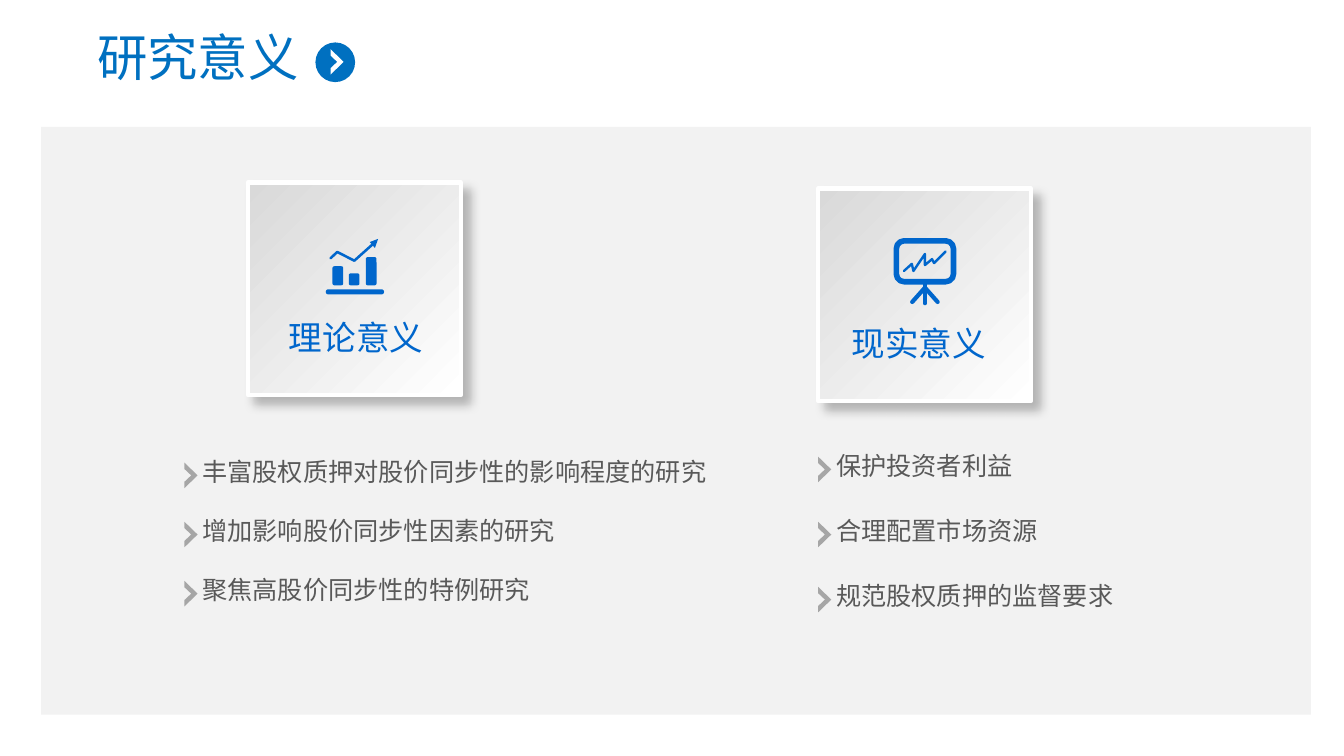
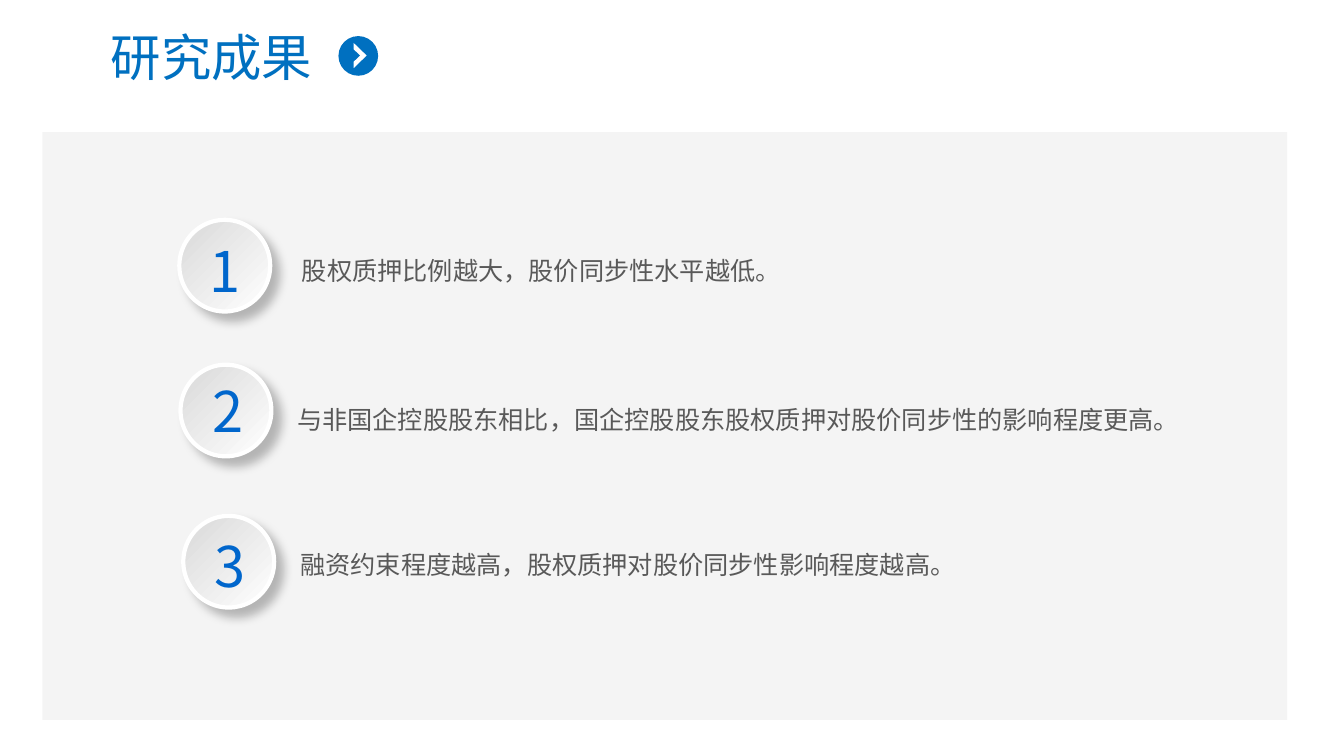
from dataclasses import dataclass
from typing import NamedTuple

from lxml import etree
from pptx import Presentation
from pptx.dml.color import RGBColor
from pptx.enum.shapes import MSO_CONNECTOR, MSO_SHAPE
from pptx.enum.text import PP_ALIGN
from pptx.oxml.ns import qn
from pptx.util import Cm, Pt

RECTANGLE = MSO_SHAPE.RECTANGLE
ROUNDED = MSO_SHAPE.ROUNDED_RECTANGLE
OVAL = MSO_SHAPE.OVAL
STRAIGHT = MSO_CONNECTOR.STRAIGHT
LEFT, CENTER = PP_ALIGN.LEFT, PP_ALIGN.CENTER
BOTTOM_SIDE = 2


@dataclass(frozen=True)
class Theme:
    title: str = "0070C0"
    accent: str = "0066CC"
    body: str = "595959"
    panel: str = "F2F2F2"
    bullet: str = "A6A6A6"
    plate_dark: str = "D9D9D9"
    white: str = "FFFFFF"
    font: str = "Noto Sans CJK SC"
    result_font: str = "Arial"
    title_size: int = 36
    number_size: int = 40
    label_size: int = 24
    body_size: int = 18


THEME = Theme()


class Box(NamedTuple):
    """Left, top, width and height in centimetres."""
    left: float
    top: float
    width: float
    height: float

    def shifted(self, x: float, y: float) -> "Box":
        return Box(self.left + x, self.top + y, self.width, self.height)


Points = list[tuple[float, float]]


@dataclass(frozen=True)
class Header:
    title: str
    title_box: Box
    badge_left: float
    badge_top: float
    panel: Box
    panel_opacity: int = 100


@dataclass(frozen=True)
class Meaning:
    tile: Box
    label: str
    label_left: float
    list_left: float
    list_top: float
    list_step: float
    text_width: float
    items: tuple[str, ...]


@dataclass(frozen=True)
class Result:
    circle: tuple[float, float]
    number: tuple[float, float]
    sentence: Box
    text: str


# Basic drawing

def add_text(slide, text: str, box: Box, *, size: int, color: str,
             font: str = THEME.font, align=LEFT) -> None:
    shape = slide.shapes.add_textbox(*map(Cm, box))
    shape.text_frame.word_wrap = True
    paragraph = shape.text_frame.paragraphs[0]
    paragraph.alignment = align
    run = paragraph.add_run()
    run.text = text
    run.font.size = Pt(size)
    run.font.name = font
    run.font.color.rgb = RGBColor.from_string(color)
    east_asian = etree.SubElement(run.font._element, qn("a:ea"))
    east_asian.set("typeface", THEME.font)


def set_line(line, color: str, width: float) -> None:
    line.width = Pt(width)
    line.color.rgb = RGBColor.from_string(color)
    properties = line._get_or_add_ln()
    properties.set("cap", "rnd")
    etree.SubElement(properties, qn("a:round"))


def paint(shape, fill: str | None, line: str | None, width: float) -> None:
    shape.shadow.inherit = False
    if fill:
        shape.fill.solid()
        shape.fill.fore_color.rgb = RGBColor.from_string(fill)
    else:
        shape.fill.background()
    if line:
        set_line(shape.line, line, width)
    else:
        shape.line.fill.background()


def add_preset(slide, kind, box: Box, *, fill: str | None = None,
               line: str | None = None, width: float = 0):
    shape = slide.shapes.add_shape(kind, *map(Cm, box))
    paint(shape, fill, line, width)
    return shape


def add_outline(slide, points: Points, origin: tuple[float, float], *,
                fill: str | None = None, line: str | None = None,
                width: float = 0) -> None:
    corners = [(Cm(origin[0] + x), Cm(origin[1] + y)) for x, y in points]
    builder = slide.shapes.build_freeform(*corners[0])
    builder.add_line_segments(corners[1:], close=fill is not None)
    paint(builder.convert_to_shape(), fill, line, width)


# Shared elements

CHEVRON: Points = [(0, 0), (0.33, 0.32), (0, 0.64), (0, 0.48), (0.17, 0.32), (0, 0.16)]


def add_plate(slide, kind, box: Box) -> None:
    """A raised plate with a grey gradient, white rim and soft shadow."""
    shape = add_preset(slide, kind, box, line=THEME.white, width=3)
    shape.fill.gradient()
    shape.fill.gradient_angle = 315
    for stop, color in zip(shape.fill.gradient_stops, (THEME.plate_dark, THEME.white)):
        stop.color.rgb = RGBColor.from_string(color)
    effects = shape._element.spPr.find(qn("a:effectLst"))
    shadow = etree.SubElement(effects, qn("a:outerShdw"), blurRad=str(Pt(7)),
                              dist=str(Pt(8)), dir="2700000", algn="tl",
                              rotWithShape="0")
    color = etree.SubElement(shadow, qn("a:srgbClr"), val="000000")
    etree.SubElement(color, qn("a:alpha"), val="25000")


def add_header(slide, header: Header) -> None:
    panel = add_preset(slide, RECTANGLE, header.panel, fill=THEME.panel)
    if header.panel_opacity < 100:
        color = panel._element.spPr.find(qn("a:solidFill"))[0]
        etree.SubElement(color, qn("a:alpha"), val=str(header.panel_opacity * 1000))
    add_text(slide, header.title, header.title_box, size=THEME.title_size,
             color=THEME.title, align=CENTER)
    left, top = header.badge_left, header.badge_top
    add_preset(slide, OVAL, Box(left, top, 1, 1), fill=THEME.title)
    add_outline(slide, CHEVRON, (left + 0.38, top + 0.17), fill=THEME.white)


# Icons, placed from the corner of their tile

def add_chart_icon(slide, tile: Box) -> None:
    origin = tile.left, tile.top
    bar_bottom = 2.59
    for left, height in ((2.13, 0.48), (2.54, 0.3), (2.97, 0.71)):
        bar = Box(left, bar_bottom - height, 0.27, height)
        add_preset(slide, ROUNDED, bar.shifted(*origin), fill=THEME.accent)
    base = add_preset(slide, ROUNDED, Box(1.96, 2.69, 1.47, 0.13).shifted(*origin),
                      fill=THEME.accent)
    base.adjustments[0] = 0.5
    add_outline(slide, [(2.08, 1.91), (2.25, 1.75), (2.68, 1.97), (3.15, 1.55)],
                origin, line=THEME.accent, width=1.8)
    add_outline(slide, [(3.07, 1.5), (3.28, 1.42), (3.2, 1.65)], origin,
                fill=THEME.accent)


def add_board_icon(slide, tile: Box) -> None:
    origin = tile.left, tile.top
    frame = add_preset(slide, ROUNDED, Box(1.97, 1.32, 1.44, 1.03).shifted(*origin),
                       line=THEME.accent, width=4)
    frame.adjustments[0] = 0.19
    add_outline(slide, [(2.16, 2.08), (2.36, 1.9), (2.4, 2.08), (2.69, 1.65),
                        (2.69, 1.93), (2.87, 1.78), (2.92, 1.88), (3.21, 1.59)],
                origin, line=THEME.accent, width=1.7)
    add_outline(slide, [(2.37, 2.86), (2.69, 2.5), (3.01, 2.86)], origin,
                line=THEME.accent, width=3)
    post_x = Cm(tile.left + 2.69)
    post = slide.shapes.add_connector(STRAIGHT, post_x, Cm(tile.top + 2.35),
                                      post_x, Cm(tile.top + 2.89))
    post.begin_connect(frame, BOTTOM_SIDE)
    set_line(post.line, THEME.accent, 3)
    etree.SubElement(post._element.spPr, qn("a:effectLst"))


# Slide content

MEANING_HEADER = Header("研究意义", Box(1.04, 0.53, 7.9, 1.8), 7.95, 1.07,
                        Box(1.04, 3.2, 32, 14.81))
RESULT_HEADER = Header("研究成果", Box(2.13, 0.53, 6.4, 1.8), 8.53, 0.91,
                       Box(1.07, 3.33, 31.37, 14.81), panel_opacity=78)

THEORY = Meaning(Box(6.25, 4.6, 5.36, 5.36), "理论意义", 6.88, 4.65, 11.66, 1.49, 16.4,
                 ("丰富股权质押对股价同步性的影响程度的研究",
                  "增加影响股价同步性因素的研究",
                  "聚焦高股价同步性的特例研究"))
PRACTICE = Meaning(Box(20.62, 4.75, 5.36, 5.36), "现实意义", 21.06, 20.62, 11.51, 1.64, 8.71,
                   ("保护投资者利益", "合理配置市场资源", "规范股权质押的监督要求"))

RESULTS = (
    Result((4.52, 5.54), (4.8, 5.84), Box(7.36, 6.32, 20.96, 1.02),
           "股权质押比例越大，股价同步性水平越低。"),
    Result((4.55, 9.19), (4.88, 9.37), Box(7.24, 10.06, 26, 1.02),
           "与非国企控股股东相比，国企控股股东股权质押对股价同步性的影响程度更高。"),
    Result((4.62, 13), (4.93, 13.26), Box(7.32, 13.72, 24.79, 1.02),
           "融资约束程度越高，股权质押对股价同步性影响程度越高。"),
)


def add_meaning(slide, meaning: Meaning, add_icon) -> None:
    tile = meaning.tile
    add_plate(slide, RECTANGLE, tile)
    add_icon(slide, tile)
    add_text(slide, meaning.label, Box(meaning.label_left, tile.top + 3.27, 4.19, 1.27),
             size=THEME.label_size, color=THEME.accent, align=CENTER)
    for index, item in enumerate(meaning.items):
        left, top = meaning.list_left, meaning.list_top + index * meaning.list_step
        add_outline(slide, CHEVRON, (left, top), fill=THEME.bullet)
        add_text(slide, item, Box(left + 0.2, top - 0.28, meaning.text_width, 1.02),
                 size=THEME.body_size, color=THEME.body)


def add_result(slide, number: int, result: Result) -> None:
    add_plate(slide, OVAL, Box(*result.circle, 2.29, 2.31))
    add_text(slide, str(number), Box(*result.number, 1.73, 1.96),
             size=THEME.number_size, color=THEME.accent, align=CENTER)
    add_text(slide, result.text, result.sentence, size=THEME.body_size,
             color=THEME.body, font=THEME.result_font)


def main() -> None:
    presentation = Presentation()
    presentation.slide_width, presentation.slide_height = Cm(33.87), Cm(19.05)
    blank = presentation.slide_layouts[6]

    # Significance of the research
    slide = presentation.slides.add_slide(blank)
    add_header(slide, MEANING_HEADER)
    add_meaning(slide, THEORY, add_chart_icon)
    add_meaning(slide, PRACTICE, add_board_icon)

    # Results of the research
    slide = presentation.slides.add_slide(blank)
    add_header(slide, RESULT_HEADER)
    for number, result in enumerate(RESULTS, start=1):
        add_result(slide, number, result)

    presentation.save("out.pptx")


if __name__ == "__main__":
    main()
